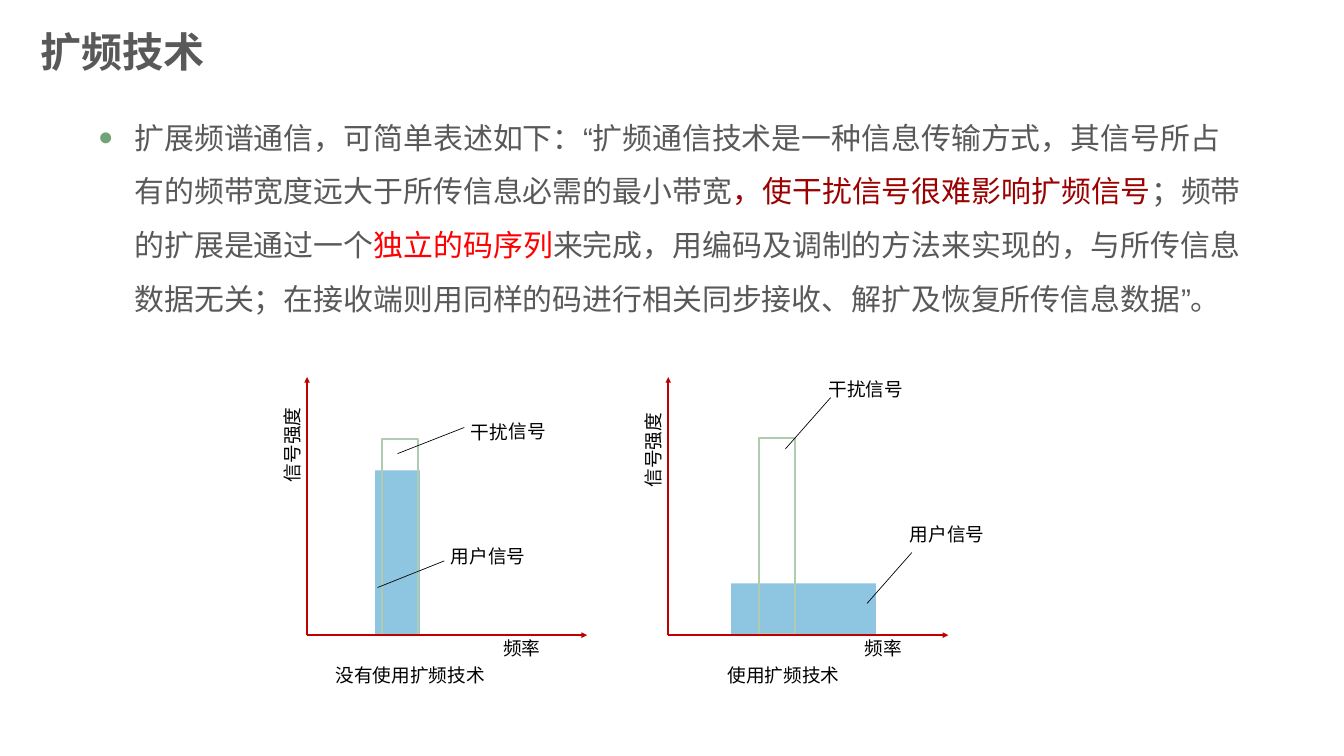
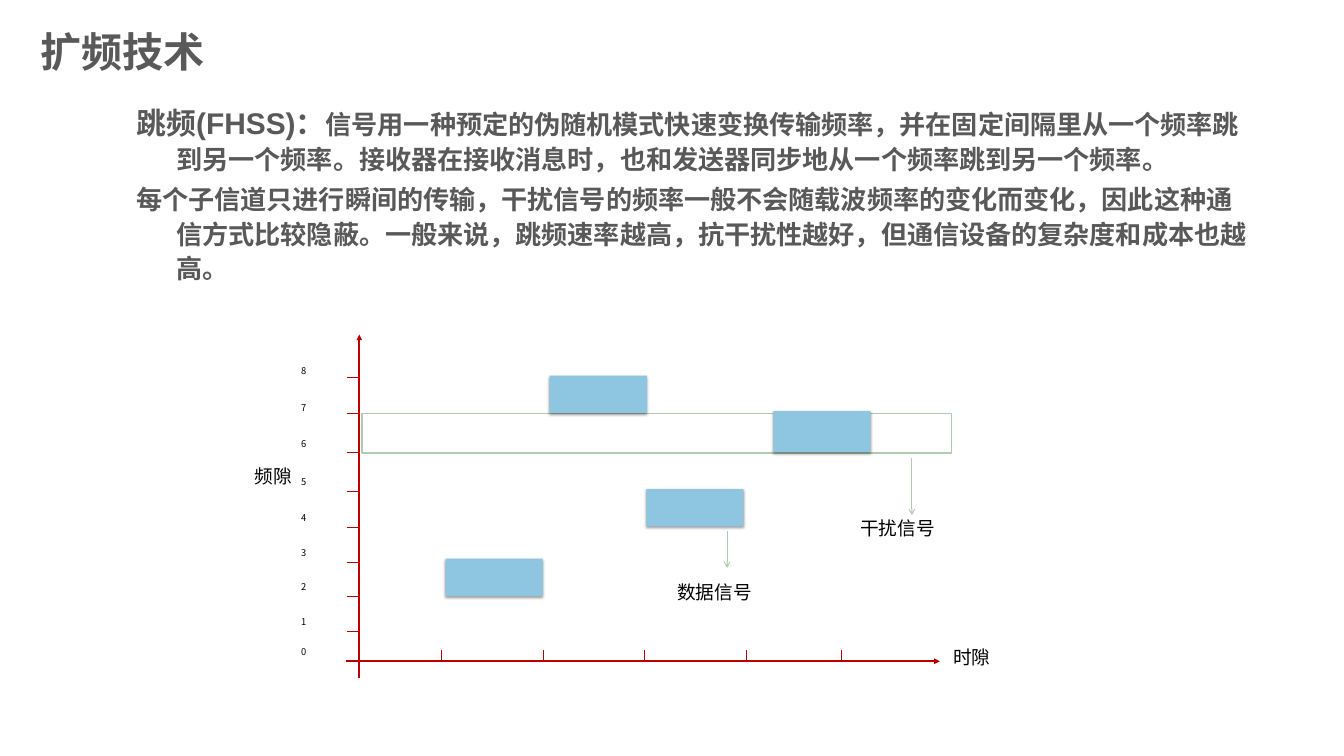
"""Build two slides on spread spectrum and frequency hopping."""
from dataclasses import dataclass
from typing import NamedTuple

from lxml import etree
from pptx import Presentation
from pptx.dml.color import RGBColor
from pptx.enum.shapes import MSO_CONNECTOR, MSO_SHAPE
from pptx.enum.text import MSO_ANCHOR, PP_ALIGN
from pptx.oxml.ns import qn
from pptx.util import Pt

LINE, RECT = MSO_CONNECTOR.STRAIGHT, MSO_SHAPE.RECTANGLE
TOP, MIDDLE = MSO_ANCHOR.TOP, MSO_ANCHOR.MIDDLE
LEFT, CENTER = PP_ALIGN.LEFT, PP_ALIGN.CENTER


@dataclass(frozen=True)
class Theme:
    """Colours, fonts and type sizes shared by the slides."""
    ink: str = "595959"
    black: str = "000000"
    white: str = "FFFFFF"
    axis: str = "C00000"
    user: str = "8EC6E2"
    jam: str = "B0CCB0"
    bullet: str = "72A376"
    dark: str = "9B0100"
    red: str = "FF0000"
    latin: str = "Arial"
    hans: str = "Noto Sans CJK SC"
    title: int = 44
    body: int = 32
    text: int = 28
    label: int = 20
    tick: int = 10


THEME = Theme()


class Box(NamedTuple):
    """Left, top, width and height in points."""
    x: float
    y: float
    w: float
    h: float


class Run(NamedTuple):
    """Text with its own colour, font and size."""
    text: str
    color: str = THEME.ink
    font: str = THEME.latin
    size: int = THEME.body


class Note(NamedTuple):
    """A label with the line that leads to its bar."""
    text: str
    x: float
    y: float
    lead: tuple[float, float, float, float]


@dataclass(frozen=True)
class Plot:
    """One plot of signal strength against frequency."""
    x: float
    side: float
    user: Box
    jam: Box
    notes: list[Note]
    title: str
    foot: Box


BASE, PEAK, SPAN = 680.5, 404, 300
PLOTS = [
    Plot(329, 436, Box(402, 504, 48, 177), Box(409, 470, 39, 210),
         [Note("干扰信号", 497.5, 446.5, (426, 486, 497.5, 458)),
          Note("用户信号", 476, 579.5, (404.5, 629.5, 476, 601))],
         "没有使用扩频技术", Box(318, 707, 243, 32)),
    Plot(716, 441.5, Box(783.5, 625, 155, 55.5), Box(813, 469.5, 39, 210),
         [Note("干扰信号", 880.5, 401, (841.5, 481, 890, 426)),
          Note("用户信号", 967.5, 556.5, (929, 646.5, 977, 592))],
         "使用扩频技术", Box(690, 707, 299, 32)),
]
SPREAD = [[
    Run("扩展频谱通信，可简单表述如下：“扩频通信技术是一种信息传输方式，"
        "其信号所占有的频带宽度远大于所传信息必需的最小带宽"),
    Run("，使干扰信号很难影响扩频信号", THEME.dark, THEME.hans),
    Run("；频带的扩展是通过一个"),
    Run("独立的码序列", THEME.red),
    Run("来完成，用编码及调制的方法来实现的，与所传信息数据无关；"
        "在接收端则用同样的码进行相关同步接收、解扩及恢复所传信息数据”。"),
]]
HOP = [
    [Run("跳频(FHSS)："),
     Run("信号用一种预定的伪随机模式快速变换传输频率，并在固定间隔里从一个频率"
         "跳到另一个频率。接收器在接收消息时，也和发送器同步地从一个频率跳到另一个频率。",
         font=THEME.hans, size=THEME.text)],
    [Run("每个子信道只进行瞬间的传输，干扰信号的频率一般不会随载波频率的变化而变化，"
         "因此这种通信方式比较隐蔽。一般来说，跳频速率越高，抗干扰性越好，"
         "但通信设备的复杂度和成本也越高。", font=THEME.hans, size=THEME.text)],
]
ROWS = [404, 443, 485, 526.5, 564.5, 602, 638.5, 676]
MARKS = [388, 427, 466, 506, 545, 582.5, 619, 656.5, 688.5]
COLS = [473, 582.5, 690.5, 800, 901.5]
BAND = Box(387.5, 443, 632, 42.5)
HOPS = [Box(477.5, 598.5, 104, 40), Box(589, 402.5, 104, 40),
        Box(692.5, 524, 104, 40), Box(828.5, 440.5, 104, 44)]
TAGS = [("干扰信号", 914.5, 550, (977, 491, 977, 552)),
        ("数据信号", 718.5, 618, (779, 569, 779, 608.5))]


def write(slide, box: Box, paras, *, color=THEME.black, font=THEME.hans,
          size=THEME.label, bold=False, align=LEFT, anchor=MIDDLE, turn=0.0,
          space=1.0, gap=0.0, margin=0.0, hang=0.0, bullet=False):
    """Write a string, or paragraphs of runs, in a text box."""
    shape = slide.shapes.add_textbox(*map(Pt, box))
    shape.rotation = turn
    frame = shape.text_frame
    frame.word_wrap, frame.vertical_anchor = True, anchor
    if isinstance(paras, str):
        paras = [[Run(paras, color, font, size)]]
    for i, runs in enumerate(paras):
        para = frame.paragraphs[0] if i == 0 else frame.add_paragraph()
        para.alignment, para.line_spacing = align, space
        if i:
            para.space_before = Pt(gap)
        props = para._p.get_or_add_pPr()
        props.set("marL", str(Pt(margin)))
        props.set("indent", str(-Pt(hang)))
        if bullet:
            tint = etree.SubElement(props, qn("a:buClr"))
            etree.SubElement(tint, qn("a:srgbClr"), val=THEME.bullet)
            etree.SubElement(props, qn("a:buSzPct"), val="85000")
            etree.SubElement(props, qn("a:buFont"), typeface=THEME.latin)
            etree.SubElement(props, qn("a:buChar"), char="●")
        for item in runs:
            run = para.add_run()
            run.text = item.text
            run.font.size, run.font.bold = Pt(item.size), bold
            run.font.color.rgb = RGBColor.from_string(item.color)
            run.font.name = item.font
            mark = run._r.get_or_add_rPr()
            mark.set("lang", "zh-CN")
            etree.SubElement(mark, qn("a:ea"), typeface=item.font)


def draw(slide, ends, color: str, width: float, head: str = ""):
    """Draw a straight line, with an arrowhead if one is named."""
    line = slide.shapes.add_connector(LINE, *map(Pt, ends))
    line.line.color.rgb = RGBColor.from_string(color)
    line.line.width = Pt(width)
    if head:
        etree.SubElement(line.line._get_or_add_ln(), qn("a:tailEnd"), type=head)
    etree.SubElement(line._element.spPr, qn("a:effectLst"))


def block(slide, box: Box, fill: str = "", edge: str = "", shade=False):
    """Draw a rectangle with an optional fill, edge and shadow."""
    shape = slide.shapes.add_shape(RECT, *map(Pt, box))
    shape.shadow.inherit = False
    if fill:
        shape.fill.solid()
        shape.fill.fore_color.rgb = RGBColor.from_string(fill)
    else:
        shape.fill.background()
    if edge:
        shape.line.color.rgb = RGBColor.from_string(edge)
        shape.line.width = Pt(2)
    else:
        shape.line.fill.background()
    if shade:
        list_ = shape._element.spPr.find(qn("a:effectLst"))
        cast = etree.SubElement(list_, qn("a:outerShdw"), blurRad=str(Pt(3.1)),
                                dist=str(Pt(1.6)), dir="5400000", rotWithShape="0")
        tint = etree.SubElement(cast, qn("a:srgbClr"), val=THEME.black)
        etree.SubElement(tint, qn("a:alpha"), val="38000")


def label(slide, text: str, x: float, y: float, w: float = 126, turn=-0.2):
    """Write a plot label."""
    write(slide, Box(x, y, w, 31.5), text, turn=turn)


def start(deck):
    """Add a blank slide with the shared title."""
    slide = deck.slides.add_slide(deck.slide_layouts[6])
    write(slide, Box(36, 25, 585, 51), "扩频技术", color=THEME.ink,
          font=THEME.latin, size=THEME.title, bold=True, anchor=TOP)
    return slide


def chart(slide, plot: Plot):
    """Draw one strength plot with its bars, labels and axes."""
    block(slide, plot.user, fill=THEME.user)
    block(slide, plot.jam, edge=THEME.jam)
    for note in plot.notes:
        draw(slide, note.lead, THEME.black, 0.75)
        label(slide, note.text, note.x, note.y)
    label(slide, "信号强度", plot.x - 88.5, plot.side, 144, 270)
    label(slide, "频率", plot.x + 203, 678)
    write(slide, plot.foot, plot.title, align=CENTER, turn=-0.2)
    for end in ((plot.x, PEAK), (plot.x + SPAN, BASE)):
        draw(slide, (plot.x, BASE, *end), THEME.axis, 2, "triangle")


def spread(deck):
    """Build the slide that compares plain and spread signals."""
    slide = start(deck)
    write(slide, Box(36, 105, 1309, 600), SPREAD, anchor=TOP, space=1.5,
          margin=101, hang=39, bullet=True)
    for plot in PLOTS:
        chart(slide, plot)


def hopping(deck):
    """Build the slide on frequency hopping."""
    slide = start(deck)
    write(slide, Box(139, 105, 1210, 159), HOP, bold=True, anchor=TOP,
          space=1.1, gap=5.5, margin=43, hang=43)
    draw(slide, (371, 708.5, 1007, 708.5), THEME.axis, 2, "triangle")
    for y in ROWS:
        draw(slide, (371.5, y, 384.5, y), THEME.axis, 0.75)
    for x in COLS:
        draw(slide, (x, 696.5, x, 707.5), THEME.axis, 0.75)
    for i, y in enumerate(MARKS):
        write(slide, Box(315.5, y, 49, 19.5), str(8 - i), size=THEME.tick)
    label(slide, "频隙", 265.5, 494, 67, 0)
    label(slide, "时隙", 1014, 688.5, 87, 0)
    block(slide, BAND, THEME.white, THEME.jam)
    for box in HOPS:
        block(slide, box, THEME.user, shade=True)
    for text, x, y, ends in TAGS:
        draw(slide, ends, THEME.jam, 1, "arrow")
        label(slide, text, x, y, 149)
    draw(slide, (385, 726.5, 385, 358.5), THEME.axis, 2, "triangle")


def main():
    """Build and save the deck."""
    deck = Presentation()
    deck.slide_width, deck.slide_height = Pt(1440), Pt(810)
    spread(deck)
    hopping(deck)
    deck.save("out.pptx")


if __name__ == "__main__":
    main()
